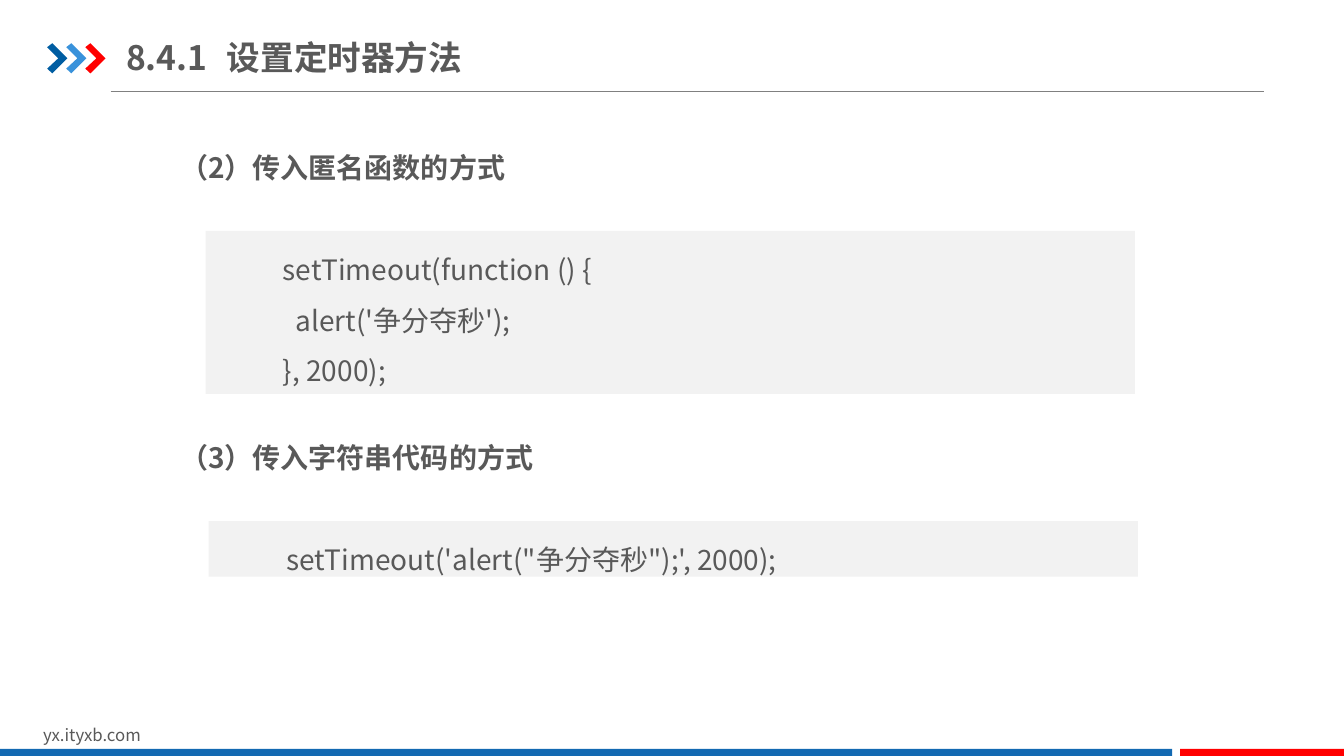
from dataclasses import dataclass

from lxml import etree
from pptx import Presentation
from pptx import util as u
from pptx.dml.color import RGBColor
from pptx.enum import shapes, text
from pptx.oxml import ns


@dataclass(frozen=True)
class Theme:
    font: str = "Noto Sans CJK SC"
    ink: str = "595959"
    rule: str = "808080"
    panel: str = "F2F2F2"
    bar: str = "1369B2"
    red: str = "FF0000"
    chevrons: tuple = ("005DA2", "3992DB", "FF0000")
    title: int = 24
    body: int = 20
    footer: int = 12


THEME = Theme()


def cm(*lengths):
    return [u.Cm(length) for length in lengths]


def paint(shape, color):
    shape.shadow.inherit = False
    shape.fill.solid()
    shape.fill.fore_color.rgb = RGBColor.from_string(color)
    shape.line.fill.background()


def style(para, size, bold=False):
    font = para.font
    font.size = u.Pt(size)
    font.bold = bold
    font.name = THEME.font
    font.color.rgb = RGBColor.from_string(THEME.ink)
    # East Asian glyphs need their own typeface entry
    latin = para._p.pPr.find(".//" + ns.qn("a:latin"))
    east_asian = etree.Element(ns.qn("a:ea"), typeface=THEME.font)
    latin.addnext(east_asian)


def add_text(page, place, words, size, bold=False, align=text.PP_ALIGN.LEFT):
    box = page.shapes.add_textbox(*cm(*place))
    frame = box.text_frame
    frame.word_wrap = True
    para = frame.paragraphs[0]
    para.add_run().text = words
    para.alignment = align
    style(para, size, bold)
    return frame


def add_title(page, words):
    frame = add_text(page, (3.18, 0.74, 8.76, 1.4), words, THEME.title, True)
    frame.vertical_anchor = text.MSO_ANCHOR.MIDDLE
    frame.margin_left = frame.margin_right = 0
    frame.margin_top = frame.margin_bottom = u.Cm(0.18)


def add_heading(page, top, width, words):
    frame = add_text(page, (4.29, top, width, 1.11), words, THEME.body, True,
                     text.PP_ALIGN.JUSTIFY)
    frame.auto_size = text.MSO_AUTO_SIZE.SHAPE_TO_FIT_TEXT


def add_rect(page, place, color):
    rect = page.shapes.add_shape(shapes.MSO_SHAPE.RECTANGLE, *cm(*place))
    paint(rect, color)
    return rect


def add_code(page, place, lines):
    frame = add_rect(page, place, THEME.panel).text_frame
    frame.word_wrap = True
    frame.auto_size = text.MSO_AUTO_SIZE.SHAPE_TO_FIT_TEXT
    frame.vertical_anchor = text.MSO_ANCHOR.TOP
    for index, line in enumerate(lines):
        para = frame.add_paragraph() if index else frame.paragraphs[0]
        para.add_run().text = line
        para.level = 1
        para.alignment = text.PP_ALIGN.LEFT
        para.line_spacing = 1.5
        para._p.pPr.set("marL", str(u.Cm(1.7)))
        para._p.pPr.set("indent", "0")
        style(para, THEME.body)


def add_chevron(page, left, top, color):
    outline = [(0, 0.1), (0.13, 0), (0.51, 0.38), (0.13, 0.76), (0, 0.64), (0.28, 0.38)]
    points = [cm(left + x, top + y) for x, y in outline]
    builder = page.shapes.build_freeform(*points[0])
    builder.add_line_segments(points[1:], close=True)
    paint(builder.convert_to_shape(), color)


def add_rule(page, start, end):
    rule = page.shapes.add_connector(shapes.MSO_CONNECTOR.STRAIGHT, *cm(*start, *end))
    rule.line.color.rgb = RGBColor.from_string(THEME.rule)
    rule.line.width = u.Pt(0.75)
    etree.SubElement(rule._element.spPr, ns.qn("a:effectLst"))


def main():
    deck = Presentation()
    deck.slide_width, deck.slide_height = cm(33.87, 19.05)
    page = deck.slides.add_slide(deck.slide_layouts[6])

    # Header decoration
    add_rule(page, (2.79, 2.31), (31.85, 2.31))
    for index, color in enumerate(THEME.chevrons):
        add_chevron(page, 1.19 + 0.48 * index, 1.09, color)

    # Footer
    add_text(page, (0.84, 18.14, 8.08, 0.76), "yx.ityxb.com", THEME.footer)
    add_rect(page, (0, 18.87, 29.54, 0.23), THEME.bar)
    add_rect(page, (29.74, 18.87, 4.14, 0.23), THEME.red)

    # Title and the two ways of passing code
    add_title(page, "8.4.1\t设置定时器方法")
    add_heading(page, 3.66, 8.79, "（2）传入匿名函数的方式")
    add_code(page, (5.18, 5.82, 23.42, 4.11),
             ["setTimeout(function () {", "  alert('争分夺秒');", "}, 2000);"])
    add_heading(page, 10.97, 9.5, "（3）传入字符串代码的方式")
    add_code(page, (5.26, 13.13, 23.42, 1.4),
             ["setTimeout('alert(\"争分夺秒\");', 2000);"])

    deck.save("out.pptx")


if __name__ == "__main__":
    main()
